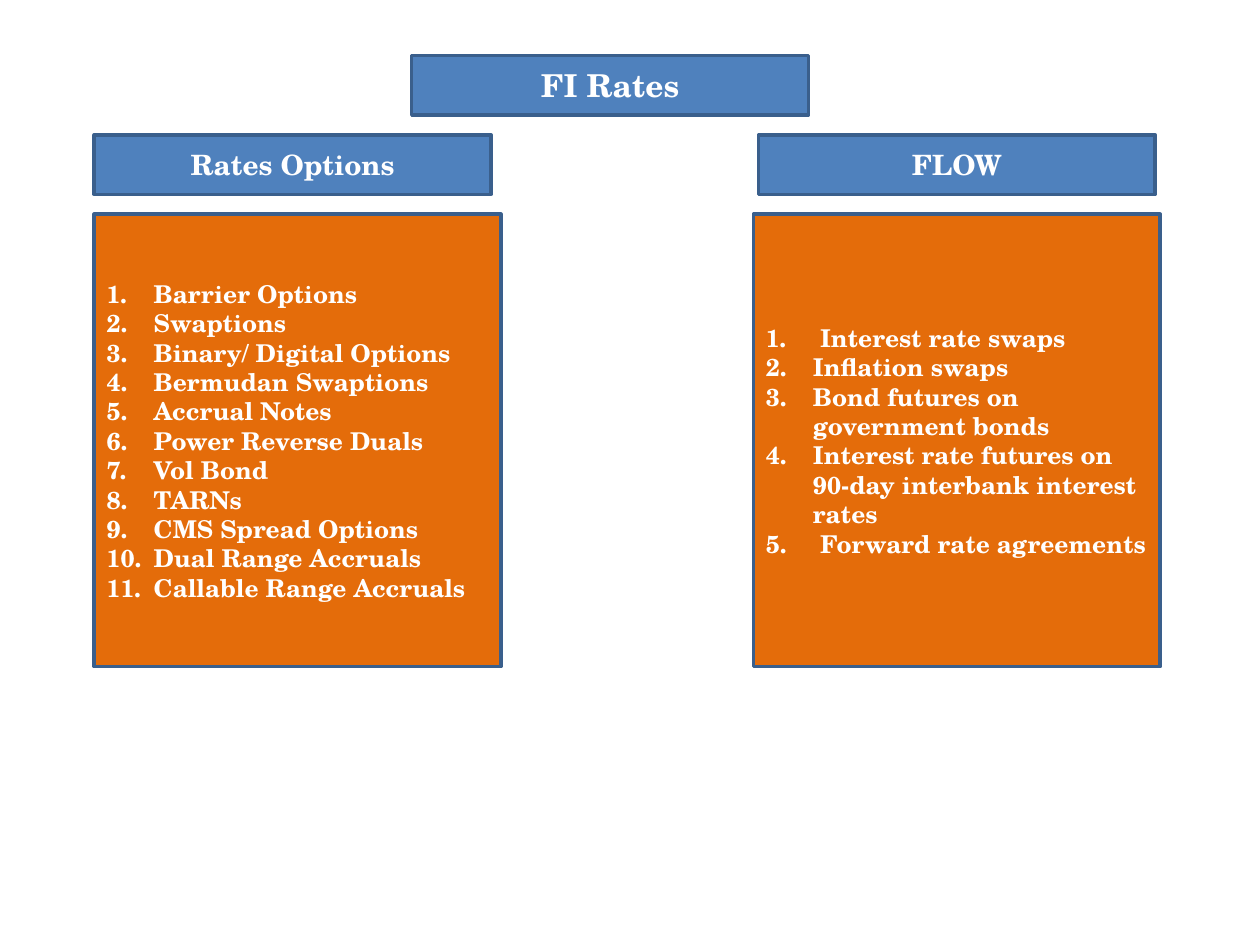
from dataclasses import dataclass

from lxml import etree
from pptx import Presentation
from pptx.dml.color import RGBColor
from pptx.enum import shapes, text
from pptx.oxml import ns
from pptx.util import Cm, Pt


@dataclass(frozen=True)
class Theme:
    """Colours, font and type sizes of the slide."""
    font: str = "TeX Gyre Schola"
    ink: str = "FFFFFF"
    bar: str = "4F81BD"
    panel: str = "E46C0A"
    outline: str = "3A5F8C"
    title: int = 18
    header: int = 16
    item: int = 14


THEME = Theme()
BAR_W, BAR_H = 8, 1.2
PANEL_W, PANEL_H = 8.2, 9.12
ROW_STEP = 1.6
TOP = 1.12
INDENT = 0.95

OPTIONS = [
    "Barrier Options", "Swaptions", "Binary/ Digital Options",
    "Bermudan Swaptions", "Accrual Notes", "Power Reverse Duals", "Vol Bond",
    "TARNs", "CMS Spread Options", "Dual Range Accruals",
    "Callable Range Accruals",
]
FLOW = [
    " Interest rate swaps", "Inflation swaps",
    "Bond futures on government bonds",
    "Interest rate futures on 90-day interbank interest rates",
    " Forward rate agreements",
]


def add_text(p, content, size, align=text.PP_ALIGN.CENTER, numbered=False):
    """Write one bold paragraph, optionally as a numbered item."""
    p.alignment = align
    r = p.add_run()
    r.text = content
    r.font.name, r.font.size, r.font.bold = THEME.font, Pt(size), True
    r.font.color.rgb = RGBColor.from_string(THEME.ink)
    if numbered:
        pPr = p._p.get_or_add_pPr()
        pPr.set("marL", str(Cm(INDENT)))
        pPr.set("indent", str(-Cm(INDENT)))
        etree.SubElement(pPr, ns.qn("a:buFont"), typeface="+mj-lt")
        etree.SubElement(pPr, ns.qn("a:buAutoNum"), type="arabicPeriod")


def add_box(s, left, top, width, height, fill):
    """Add an outlined rectangle and return its text frame."""
    sp = s.shapes.add_shape(shapes.MSO_SHAPE.RECTANGLE,
                            Cm(left), Cm(top), Cm(width), Cm(height))
    sp.shadow.inherit = False
    sp.fill.solid()
    sp.fill.fore_color.rgb = RGBColor.from_string(fill)
    sp.line.color.rgb = RGBColor.from_string(THEME.outline)
    sp.line.width = Pt(2)
    tf = sp.text_frame
    tf.word_wrap = True
    tf.vertical_anchor = text.MSO_ANCHOR.MIDDLE
    return tf


def add_bar(s, left, top, label, size):
    """Add a heading bar with a centred label."""
    tf = add_box(s, left, top, BAR_W, BAR_H, THEME.bar)
    add_text(tf.paragraphs[0], label, size)


def add_column(s, left, top, heading, items, bar_offset=0):
    """Add a heading bar with a numbered panel below it."""
    add_bar(s, left + bar_offset, top, heading, THEME.header)
    tf = add_box(s, left, top + ROW_STEP, PANEL_W, PANEL_H, THEME.panel)
    for i, item in enumerate(items):
        p = tf.add_paragraph() if i else tf.paragraphs[0]
        add_text(p, item, THEME.item, align=text.PP_ALIGN.LEFT, numbered=True)


def main():
    """Build the rates overview slide."""
    prs = Presentation()
    prs.slide_width, prs.slide_height = Cm(25.4), Cm(19.05)
    s = prs.slides.add_slide(prs.slide_layouts[6])
    add_bar(s, 8.3, TOP, "FI Rates", THEME.title)
    add_column(s, 15.19, TOP + ROW_STEP, "FLOW", FLOW,
               bar_offset=(PANEL_W - BAR_W) / 2)
    add_column(s, 1.9, TOP + ROW_STEP, "Rates Options", OPTIONS)
    prs.save("out.pptx")


if __name__ == "__main__":
    main()
